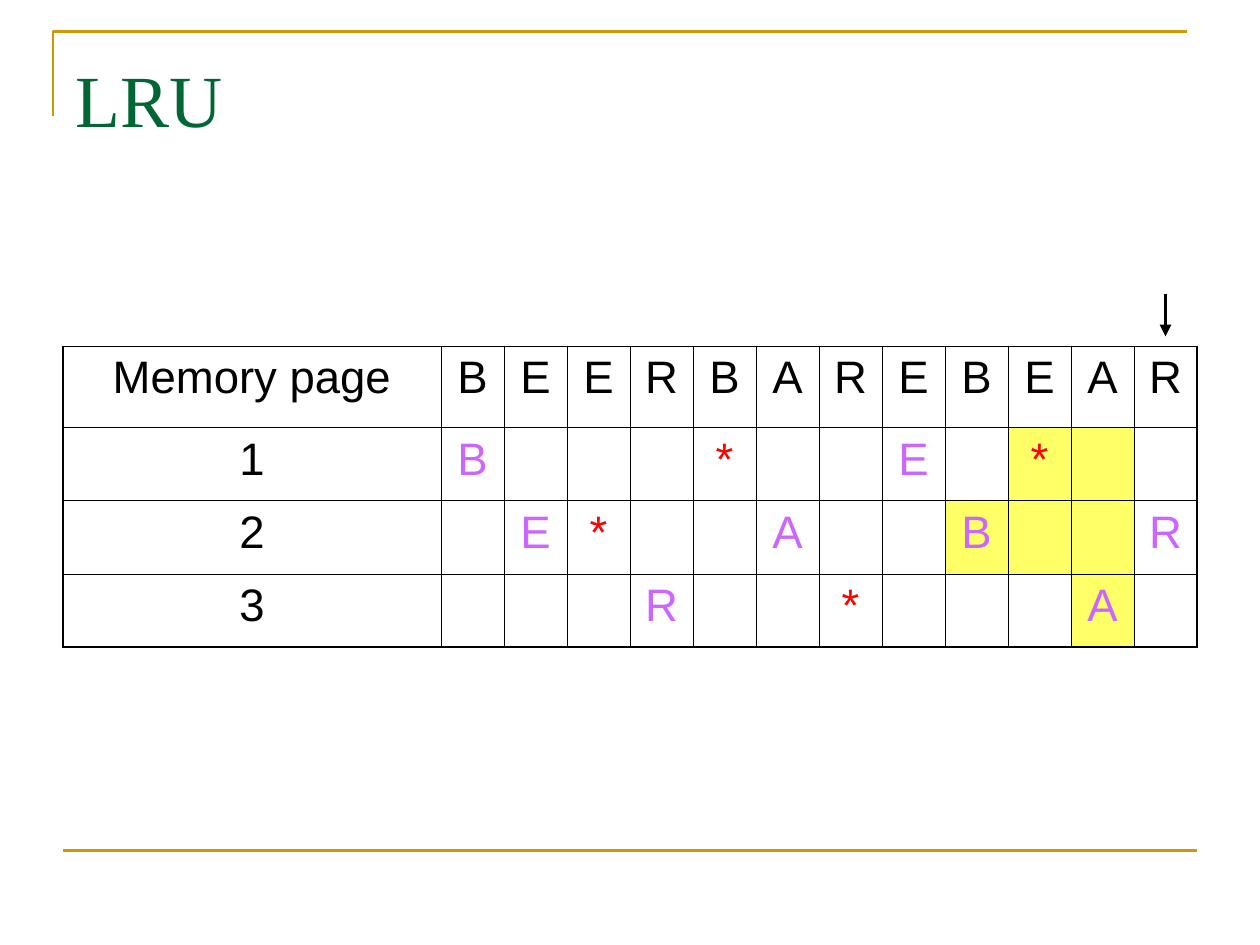
from lxml.etree import SubElement
from pptx import Presentation
from pptx.dml.color import RGBColor
from pptx.enum.shapes import MSO_CONNECTOR as Link
from pptx.enum.text import MSO_ANCHOR as Anchor, PP_ALIGN as Align
from pptx.oxml.ns import qn
from pptx.util import Inches, Pt

BLACK = RGBColor(0x00, 0x00, 0x00)
GOLD = RGBColor(0xCC, 0x99, 0x00)
GREEN = RGBColor(0x00, 0x66, 0x33)
PURPLE = RGBColor(0xCC, 0x66, 0xFF)
RED = RGBColor(0xFF, 0x00, 0x00)
YELLOW = RGBColor(0xFF, 0xFF, 0x66)

# The slide is 20 units wide and 15 units high
UNIT = Inches(0.5)
WIDTH, HEIGHT = 20, 15
LEFT, RIGHT = 1, 19
TOP = 5.5

ORDER = "BEERBAREBEAR"
# One string per frame, one character per request; a dot is an empty cell
FRAMES = ["B...*..E.*..", ".E*..A..B..R", "...R..*...A."]
SHADED = {(1, 10), (1, 11), (2, 9), (2, 10), (2, 11), (3, 11)}


def grid(*units):
    return [round(n * UNIT) for n in units]


def write(frame, text, size=26, font="Arial", color=BLACK, align=Align.CENTER):
    para = frame.paragraphs[0]
    para.alignment = align
    run = para.add_run()
    run.text = text
    run.font.size = Pt(size)
    run.font.name = font
    run.font.color.rgb = color


def add_line(slide, start, end, color, width, arrow=False):
    line = slide.shapes.add_connector(Link.STRAIGHT, *grid(*start, *end))
    line.line.color.rgb = color
    line.line.width = Pt(width)
    if arrow:
        SubElement(line.line._get_or_add_ln(), qn("a:tailEnd"), type="triangle")
    SubElement(line._element.spPr, qn("a:effectLst"))


def add_corner(slide):
    """Draw the open corner line around the title."""
    left, top, right, low = grid(0.84, 0.5, 18.84, 1.84)
    pen = slide.shapes.build_freeform(left, low)
    pen.add_line_segments([(left, top), (right, top)], close=False)
    shape = pen.convert_to_shape()
    shape.shadow.inherit = False
    shape.fill.background()
    shape.line.color.rgb = GOLD
    shape.line.width = Pt(1.5)


def add_title(slide, text):
    box = slide.shapes.add_textbox(*grid(LEFT, 0.6, RIGHT - LEFT, 2.5))
    frame = box.text_frame
    frame.word_wrap = True
    frame.vertical_anchor = Anchor.TOP
    frame.margin_top = Inches(0.13)
    write(frame, text, size=42, font="Times New Roman", color=GREEN,
          align=Align.LEFT)


def set_edges(cell, outer):
    """Rule the four sides of a cell, thicker on the sides named in outer."""
    props = cell._tc.get_or_add_tcPr()
    for side in "LRTB":
        width = Pt(1.08 if side in outer else 0.45)
        edge = SubElement(props, qn(f"a:ln{side}"), w=str(width))
        fill = SubElement(edge, qn("a:solidFill"))
        SubElement(fill, qn("a:srgbClr"), val=str(BLACK))


def pick_color(row, col, text):
    if row == 0 or col == 0:
        return BLACK
    return RED if text == "*" else PURPLE


def add_trace(slide):
    """Add the table of memory frames against page requests."""
    rows = [["Memory page", *ORDER]]
    rows += [[str(n), *marks] for n, marks in enumerate(FRAMES, 1)]
    last_row, last_col = len(rows) - 1, len(ORDER)
    tall = [1.29] + [1.16] * len(FRAMES)
    table = slide.shapes.add_table(
        len(rows), last_col + 1,
        *grid(LEFT, TOP, RIGHT - LEFT, sum(tall))).table
    table.first_row = table.horz_banding = False
    for col, wide in zip(table.columns, grid(6, *[1] * last_col)):
        col.width = wide
    for row, high in zip(table.rows, grid(*tall)):
        row.height = high
    for r, line in enumerate(rows):
        for c, text in enumerate(line):
            cell = table.cell(r, c)
            ends = {"L": c == 0, "R": c == last_col,
                    "T": r == 0, "B": r == last_row}
            set_edges(cell, [side for side, end in ends.items() if end])
            if (r, c) in SHADED:
                cell.fill.solid()
                cell.fill.fore_color.rgb = YELLOW
            else:
                cell.fill.background()
            if text != ".":
                write(cell.text_frame, text, color=pick_color(r, c, text))


def main():
    deck = Presentation()
    deck.slide_width, deck.slide_height = grid(WIDTH, HEIGHT)
    slide = deck.slides.add_slide(deck.slide_layouts[6])
    add_corner(slide)
    add_line(slide, (LEFT, 13.5), (RIGHT, 13.5), GOLD, 1.5)
    add_title(slide, "LRU")
    add_trace(slide)
    now = RIGHT - 0.5
    add_line(slide, (now, 4.66), (now, 5.34), BLACK, 2.25, arrow=True)
    deck.save("out.pptx")


if __name__ == "__main__":
    main()
